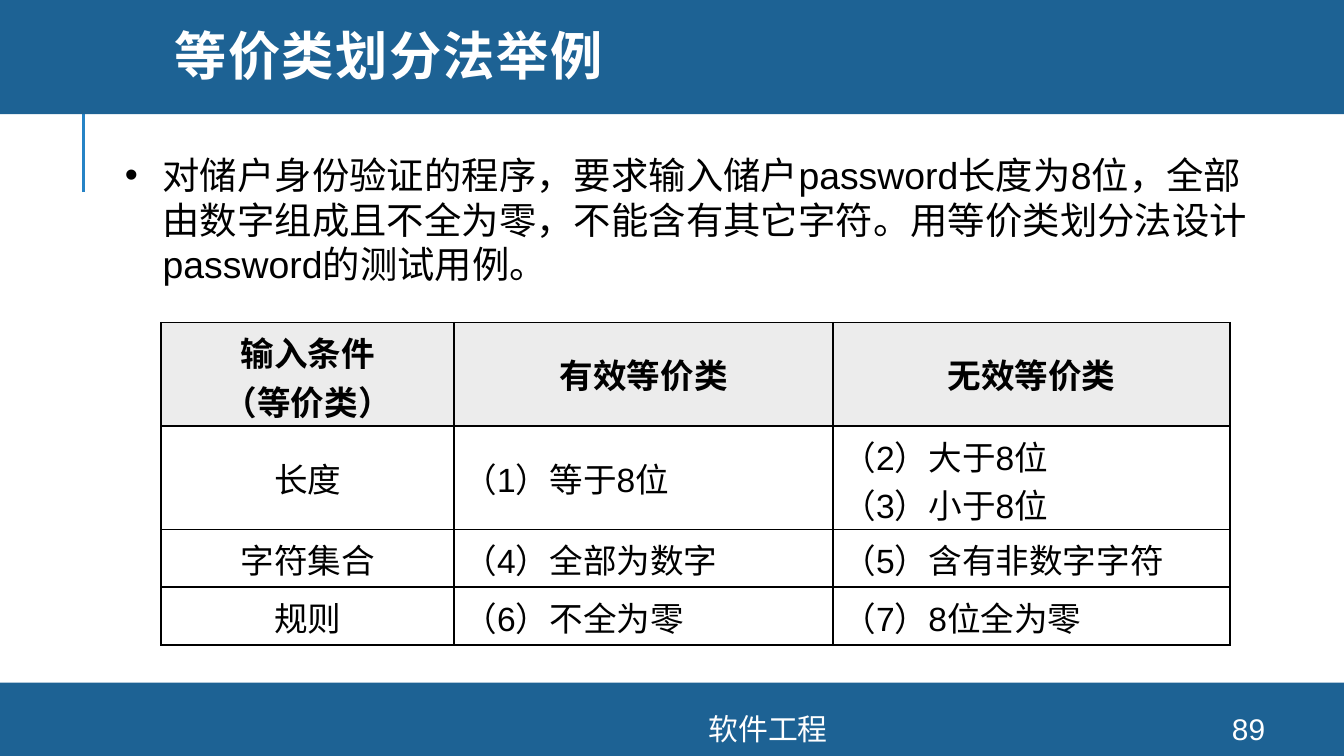
from dataclasses import dataclass
from lxml.etree import SubElement as Sub
from pptx import Presentation
from pptx.dml.color import RGBColor as RGB
from pptx.enum.shapes import MSO_CONNECTOR as Conn, MSO_SHAPE as Shape
from pptx.enum.text import MSO_ANCHOR as Anchor, MSO_AUTO_SIZE as Fit, PP_ALIGN as Align
from pptx.oxml.ns import qn
from pptx.util import Inches, Pt


@dataclass(frozen=True)
class Theme:
    band: str = "1D6294"
    rule: str = "2683C6"
    head: str = "E6E6E6"
    ink: str = "000000"
    light: str = "FFFFFF"
    face: str = "Arial"
    bold: str = "Montserrat"
    title: int = 28
    body: int = 20
    cell: int = 18
    foot: int = 16


T = Theme()
WIDE = 10
HIGH = WIDE * 9 / 16
COLS = [2.18, 2.82, 2.95]
ROWS = [0.77, 0.77, 0.43, 0.43]
CELLS = [
    ["输入条件\n（等价类）", "有效等价类", "无效等价类"],
    ["长度", "（1）等于8位", "（2）大于8位\n（3）小于8位"],
    ["字符集合", "（4）全部为数字", "（5）含有非数字字符"],
    ["规则", "（6）不全为零", "（7）8位全为零"],
]


def box(*nums):
    return [Inches(n) for n in nums]


def place(shape, *nums):
    shape.left, shape.top, shape.width, shape.height = box(*nums)


def write(frame, text, size, color, align=Align.LEFT, bold=False, face=T.face):
    frame.text = text
    for para in frame.paragraphs:
        para.alignment = align
        for run in para.runs:
            font = run.font
            font.name, font.size, font.bold = face, Pt(size), bold
            font.color.rgb = RGB.from_string(color)


def add_band(slide, top, high):
    band = slide.shapes.add_shape(Shape.RECTANGLE, *box(0, top, WIDE, high))
    band.shadow.inherit = False
    band.fill.solid()
    band.fill.fore_color.rgb = RGB.from_string(T.band)
    band.line.fill.background()


def add_rule(slide, left, top, end):
    rule = slide.shapes.add_connector(Conn.STRAIGHT, *box(left, end, left, top))
    rule.line.color.rgb = RGB.from_string(T.rule)
    rule.line.width = Pt(1.5)
    Sub(rule._element.spPr, qn("a:effectLst"))


def add_title(slide, text):
    title = slide.shapes.title
    slide.shapes._spTree.append(title._element)  # in front of the band
    place(title, 1.2, 0, 8.49, 0.9)
    frame = title.text_frame
    frame.auto_size, frame.vertical_anchor = Fit.NONE, Anchor.MIDDLE
    write(frame, text, T.title, T.light, bold=True, face=T.bold)
    para = frame.paragraphs[0]
    para.line_spacing = 0.8
    para.runs[0].font._element.set("spc", "80")


def add_body(slide, text):
    body = slide.placeholders[1]
    place(body, 0.83, 1.08, 8.6, 1.11)
    frame = body.text_frame
    frame.auto_size = Fit.NONE
    write(frame, text, T.body, T.ink)
    para = frame.paragraphs[0]
    para.line_spacing, para.space_before = 1.0, Pt(0)
    props = para._p.get_or_add_pPr()
    props.set("marL", str(Inches(0.28)))
    props.set("indent", str(Inches(-0.28)))


def add_foot(slide, text, left, wide):
    note = slide.shapes.add_textbox(*box(left, 5.31, wide, 0.23))
    frame = note.text_frame
    frame.word_wrap, frame.vertical_anchor = True, Anchor.MIDDLE
    write(frame, text, T.foot, T.light, Align.CENTER)


def edge(cell):
    props = cell._tc.get_or_add_tcPr()
    for side in "LRTB":
        line = Sub(props, qn(f"a:ln{side}"), w=str(Pt(1)))
        Sub(Sub(line, qn("a:solidFill")), qn("a:srgbClr"), val=T.ink)


def shade(cell):
    cell.fill.solid()
    cell.fill.fore_color.rgb = RGB.from_string(T.head)
    tint = cell._tc.tcPr.find(f"{qn('a:solidFill')}/{qn('a:srgbClr')}")
    Sub(tint, qn("a:alpha"), val="72000")


def add_grid(slide):
    size = box(1.2, 2.4, sum(COLS), sum(ROWS))
    grid = slide.shapes.add_table(len(ROWS), len(COLS), *size).table
    grid.first_row = grid.horz_banding = False
    for col, wide in zip(grid.columns, COLS):
        col.width = Inches(wide)
    for r, (row, texts) in enumerate(zip(grid.rows, CELLS)):
        row.height = Inches(ROWS[r])
        for c, (cell, text) in enumerate(zip(row.cells, texts)):
            cell.margin_left = cell.margin_right = Inches(0.07)
            cell.margin_top = cell.margin_bottom = Inches(0.04)
            cell.vertical_anchor = Anchor.MIDDLE
            align = Align.CENTER if r == 0 or c == 0 else Align.LEFT
            write(cell.text_frame, text, T.cell, T.ink, align, r == 0)
            edge(cell)
            if r == 0:
                shade(cell)
            else:
                cell.fill.background()


def main():
    deck = Presentation()
    deck.slide_width, deck.slide_height = box(WIDE, HIGH)
    slide = deck.slides.add_slide(deck.slide_layouts[1])
    add_rule(slide, 0.62, 0.68, 1.43)
    add_band(slide, 5.08, HIGH - 5.08)
    add_band(slide, -0.03, 0.88)
    add_title(slide, "等价类划分法举例")
    add_foot(slide, "软件工程", 2.61, 6.21)
    add_foot(slide, "89", 8.89, 0.8)
    add_body(slide, "对储户身份验证的程序，要求输入储户password长度为8位，"
                    "全部由数字组成且不全为零，不能含有其它字符。"
                    "用等价类划分法设计password的测试用例。")
    add_grid(slide)
    deck.save("out.pptx")


if __name__ == "__main__":
    main()
